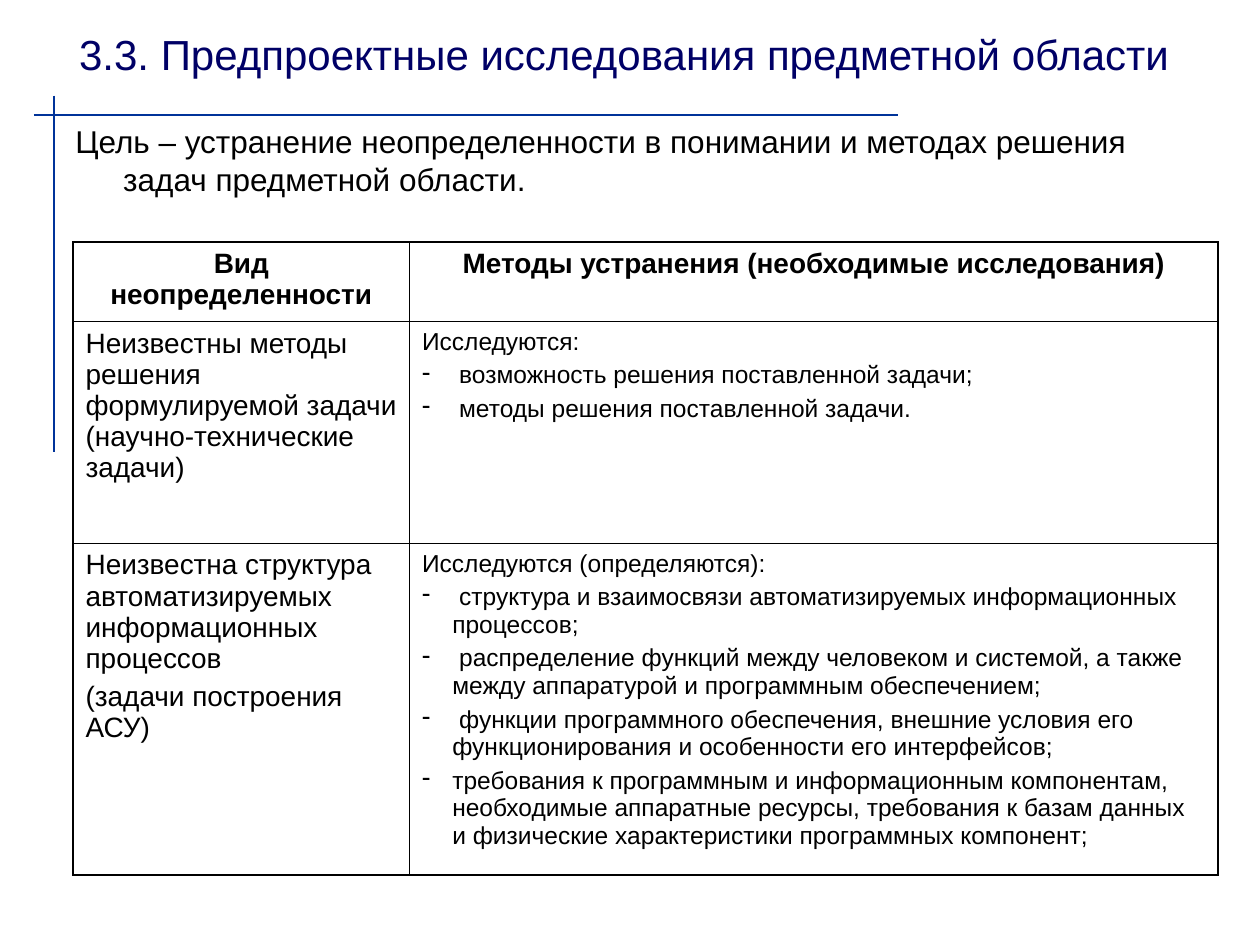
from lxml.etree import SubElement
from pptx import Presentation
from pptx.dml.color import RGBColor
from pptx.enum.shapes import MSO_CONNECTOR as Connector
from pptx.enum.text import MSO_ANCHOR as Anchor, PP_ALIGN as Align
from pptx.oxml import parse_xml
from pptx.oxml.ns import nsdecls, qn
from pptx.util import Inches, Pt

COLORS = {"title": "000066", "text": "000000", "rule": "003399", "border": "000000"}
FONT = "Arial"
OUTER, INNER = 1.08, 0.45  # border widths in points

TITLE = "3.3. Предпроектные исследования предметной области "
GOAL = ("Цель – устранение неопределенности в понимании и методах решения "
        "задач предметной области.")
HEADERS = ["Вид неопределенности", "Методы устранения (необходимые исследования)"]
# Each row: paragraphs on the uncertainty, lead-in, bulleted studies
ROWS = [
    (["Неизвестны методы решения формулируемой задачи (научно-технические задачи)"],
     "Исследуются:",
     [" возможность решения поставленной задачи;",
      " методы решения поставленной задачи."]),
    (["Неизвестна структура автоматизируемых информационных процессов",
      "(задачи построения АСУ)"],
     "Исследуются (определяются):",
     [" структура и взаимосвязи автоматизируемых информационных процессов;",
      " распределение функций между человеком и системой, а также между "
      "аппаратурой и программным обеспечением;",
      " функции программного обеспечения, внешние условия его функционирования "
      "и особенности его интерфейсов;",
      "требования к программным и информационным компонентам, необходимые "
      "аппаратные ресурсы, требования к базам данных и физические характеристики "
      "программных компонент;"]),
]
COLUMN_WIDTHS = [2.67, 6.42]
ROW_HEIGHTS = [0.63, 1.76, 2.61]


def write(frame, texts, size, before=0, color="text", bold=False, align=Align.LEFT):
    frame.word_wrap = True
    frame.text = "\n".join(texts)
    for paragraph in frame.paragraphs:
        paragraph.alignment = align
        paragraph.space_before = Pt(before)
        for run in paragraph.runs:
            run.font.name = FONT
            run.font.size = Pt(size)
            run.font.bold = bold
            run.font.color.rgb = RGBColor.from_string(COLORS[color])


def hang(paragraph, indent, bullet=None):
    properties = paragraph._p.get_or_add_pPr()
    properties.set("marL", str(Inches(indent)))
    properties.set("indent", str(-Inches(indent)))
    if bullet:
        SubElement(properties, qn("a:buChar")).set("char", bullet)


def add_rule(slide, x1, y1, x2, y2):
    rule = slide.shapes.add_connector(
        Connector.STRAIGHT, Inches(x1), Inches(y1), Inches(x2), Inches(y2))
    rule.line.color.rgb = RGBColor.from_string(COLORS["rule"])
    rule.line.width = Pt(1)
    SubElement(rule._element.spPr, qn("a:effectLst"))


def add_title(slide):
    title = slide.shapes.title
    title.left, title.top = Inches(0.5), Inches(0.08)
    title.width, title.height = Inches(9), Inches(0.69)
    title.text_frame.vertical_anchor = Anchor.MIDDLE
    write(title.text_frame, [TITLE], 24, color="title", align=Align.CENTER)


def add_goal(slide):
    goal = slide.shapes.add_textbox(Inches(0.5), Inches(0.92), Inches(9), Inches(1.1))
    write(goal.text_frame, [GOAL], 18, before=4.5)
    hang(goal.text_frame.paragraphs[0], 0.38)


def set_borders(cell, row, column):
    """Thick lines on the table's outer edge, thin ones inside."""
    outer_sides = {
        "lnL": column == 0,
        "lnR": column == len(COLUMN_WIDTHS) - 1,
        "lnT": row == 0,
        "lnB": row == len(ROW_HEIGHTS) - 1,
    }
    properties = cell._tc.get_or_add_tcPr()
    for position, (side, outer) in enumerate(outer_sides.items()):
        width = Pt(OUTER if outer else INNER)
        properties.insert(position, parse_xml(
            f'<a:{side} {nsdecls("a")} w="{width}"><a:solidFill>'
            f'<a:srgbClr val="{COLORS["border"]}"/></a:solidFill></a:{side}>'))


def add_methods_table(slide):
    table = slide.shapes.add_table(
        len(ROW_HEIGHTS), len(COLUMN_WIDTHS), Inches(0.58), Inches(1.92),
        Inches(sum(COLUMN_WIDTHS)), Inches(sum(ROW_HEIGHTS))).table
    table.first_row = table.horz_banding = False
    for column, width in zip(table.columns, COLUMN_WIDTHS):
        column.width = Inches(width)
    for row, height in zip(table.rows, ROW_HEIGHTS):
        row.height = Inches(height)

    # Header row
    for column, header in enumerate(HEADERS):
        write(table.cell(0, column).text_frame, [header], 16, before=4,
              bold=True, align=Align.CENTER)

    # Uncertainties and the studies that resolve them
    for row, (uncertainty, lead, studies) in enumerate(ROWS, start=1):
        write(table.cell(row, 0).text_frame, uncertainty, 16, before=4)
        methods = table.cell(row, 1).text_frame
        write(methods, [lead, *studies], 14, before=3.5)
        for paragraph in methods.paragraphs[1:]:
            hang(paragraph, 0.24, bullet="-")

    # Fill and borders
    for row in range(len(ROW_HEIGHTS)):
        for column in range(len(COLUMN_WIDTHS)):
            cell = table.cell(row, column)
            cell.fill.background()
            set_borders(cell, row, column)


def main():
    deck = Presentation()
    deck.slide_width, deck.slide_height = Inches(10), Inches(7.5)
    slide = deck.slides.add_slide(deck.slide_layouts[5])
    # Crossing rules beside the title
    add_rule(slide, 0.27, 0.91, 7.13, 0.91)
    add_rule(slide, 0.43, 0.76, 0.43, 3.59)
    add_title(slide)
    add_goal(slide)
    add_methods_table(slide)
    deck.save("out.pptx")


if __name__ == "__main__":
    main()
